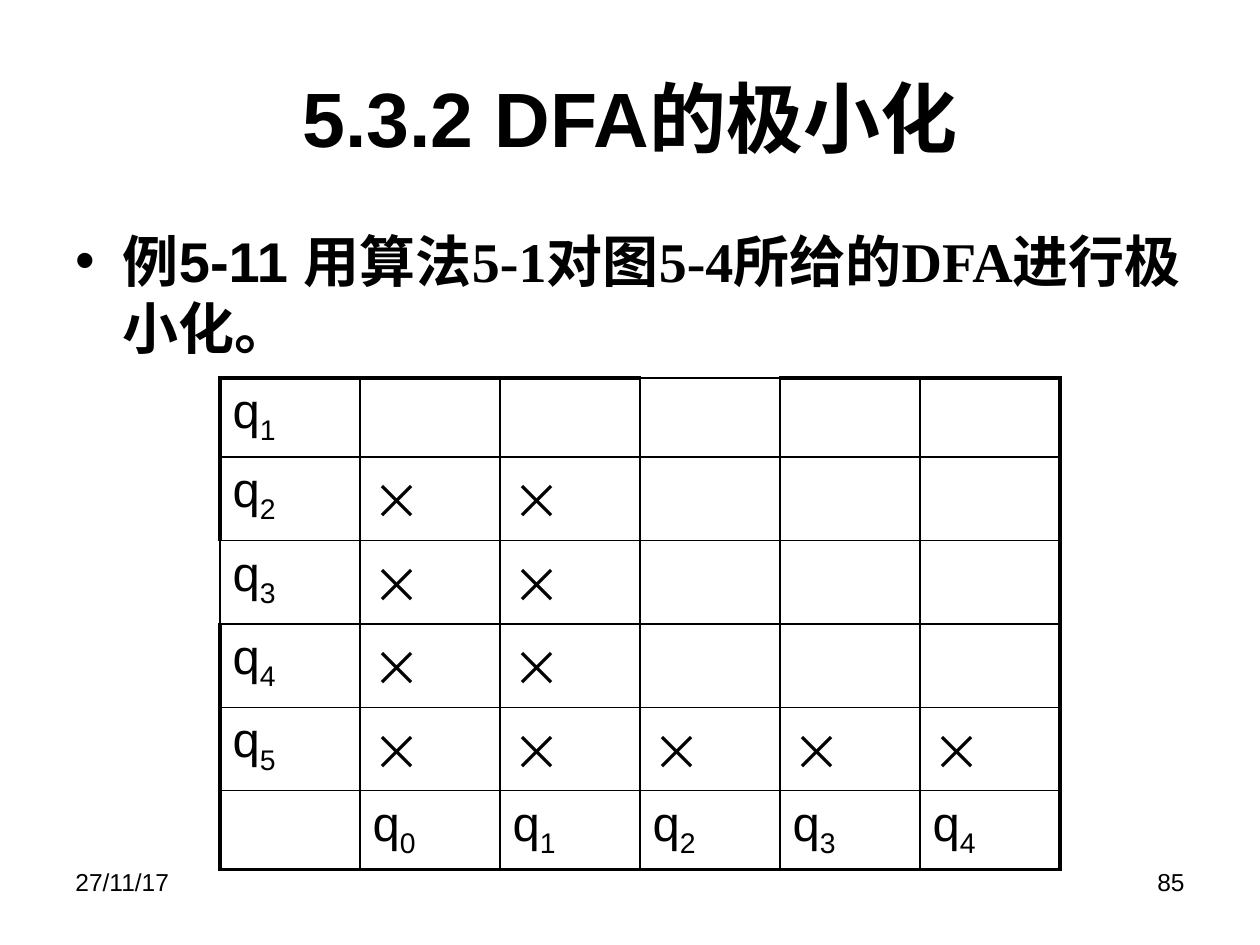
import pptx
import pptx.util
import pptx.dml.color
import pptx.enum.text
import pptx.oxml
import pptx.oxml.ns

BLACK = pptx.dml.color.RGBColor(0, 0, 0)
LATIN, HAN, SERIF = "Arial", "Noto Sans CJK SC", "Times New Roman"
PX = 914400 / 126
ALIGN = pptx.enum.text.PP_ALIGN
FIT = pptx.enum.text.MSO_AUTO_SIZE
MIDDLE = pptx.enum.text.MSO_ANCHOR.MIDDLE

TITLE = [("5.3.2 DFA的极小化", LATIN)]
BODY = [
    ("例5-11 ", LATIN), ("用算法", HAN), ("5-1", SERIF), ("对图", HAN),
    ("5-4", SERIF), ("所给的", HAN), ("DFA", SERIF), ("进行极小化。", HAN),
]
GRID = [
    ["q1", "", "", "", "", ""],
    ["q2", "×", "×", "", "", ""],
    ["q3", "×", "×", "", "", ""],
    ["q4", "×", "×", "", "", ""],
    ["q5", "×", "×", "×", "×", "×"],
    ["", "q0", "q1", "q2", "q3", "q4"],
]
FOOT = [("27/11/17", 63, ALIGN.LEFT), ("85", 903, ALIGN.RIGHT)]
CELL_W, CELL_H = 140, 79
THIN, THICK = 1, 2.25
THIN_EDGES = {(0, 3, "T"), (2, 0, "L")}  # outer edges left thin


def emu(*sizes):
    return [round(size * PX) for size in sizes]


def place(shape, *box):
    for name, size in zip(("left", "top", "width", "height"), emu(*box)):
        setattr(shape, name, size)


def write(para, text, face, size, bold=False, base=0):
    run = para.add_run()
    run.text = text
    look = {"name": face, "size": pptx.util.Pt(size), "bold": bold}
    for name, value in look.items():
        setattr(run.font, name, value)
    run.font.color.rgb = BLACK
    props = run._r.get_or_add_rPr()
    if base:
        props.set("baseline", str(base * 1000))
    east = pptx.oxml.parse_xml(
        f'<a:ea {pptx.oxml.ns.nsdecls("a")} typeface="{HAN}"/>')
    props.find(pptx.oxml.ns.qn("a:latin")).addnext(east)


def fill_cell(cell, text):
    para = cell.text_frame.paragraphs[0]
    if text.startswith("q"):
        write(para, text[0], LATIN, 28)
        write(para, text[1:], LATIN, 28, base=-25)
    elif text:
        write(para, text, HAN, 28)


def edge_cell(cell, row, col):
    outer = {"L": col == 0, "R": col == len(GRID[0]) - 1,
             "T": row == 0, "B": row == len(GRID) - 1}
    props = cell._tc.get_or_add_tcPr()
    for side, out in outer.items():
        heavy = out and (row, col, side) not in THIN_EDGES
        width = pptx.util.Pt(THICK if heavy else THIN)
        props.append(pptx.oxml.parse_xml(
            f'<a:ln{side} {pptx.oxml.ns.nsdecls("a")} w="{width}">'
            f'<a:solidFill><a:srgbClr val="{BLACK}"/></a:solidFill>'
            f'</a:ln{side}>'))
    cell.fill.background()


def main():
    deck = pptx.Presentation()
    deck.slide_width, deck.slide_height = emu(1260, 945)
    slide = deck.slides.add_slide(deck.slide_layouts[1])

    title, body = slide.placeholders
    place(title, 63, 38, 1134, 157)
    place(body, 63, 220, 1134, 157)
    title.text_frame.vertical_anchor = MIDDLE
    body.text_frame.auto_size = FIT.TEXT_TO_FIT_SHAPE
    for holder, runs, size in ((title, TITLE, 44), (body, BODY, 32)):
        para = holder.text_frame.paragraphs[0]
        para.space_before = pptx.util.Pt(0)
        for text, face in runs:
            write(para, text, face, size, bold=True)

    rows, cols = len(GRID), len(GRID[0])
    box = emu(220, 378, cols * CELL_W, rows * CELL_H)
    table = slide.shapes.add_table(rows, cols, *box).table
    table.first_row = table.horz_banding = False
    for row, line in enumerate(GRID):
        for col, text in enumerate(line):
            cell = table.cell(row, col)
            fill_cell(cell, text)
            edge_cell(cell, row, col)

    for text, left, align in FOOT:
        frame = slide.shapes.add_textbox(*emu(left, 861, 294, 65)).text_frame
        frame.word_wrap = True
        para = frame.paragraphs[0]
        para.alignment = align
        write(para, text, LATIN, 14)

    deck.save("out.pptx")


if __name__ == "__main__":
    main()
